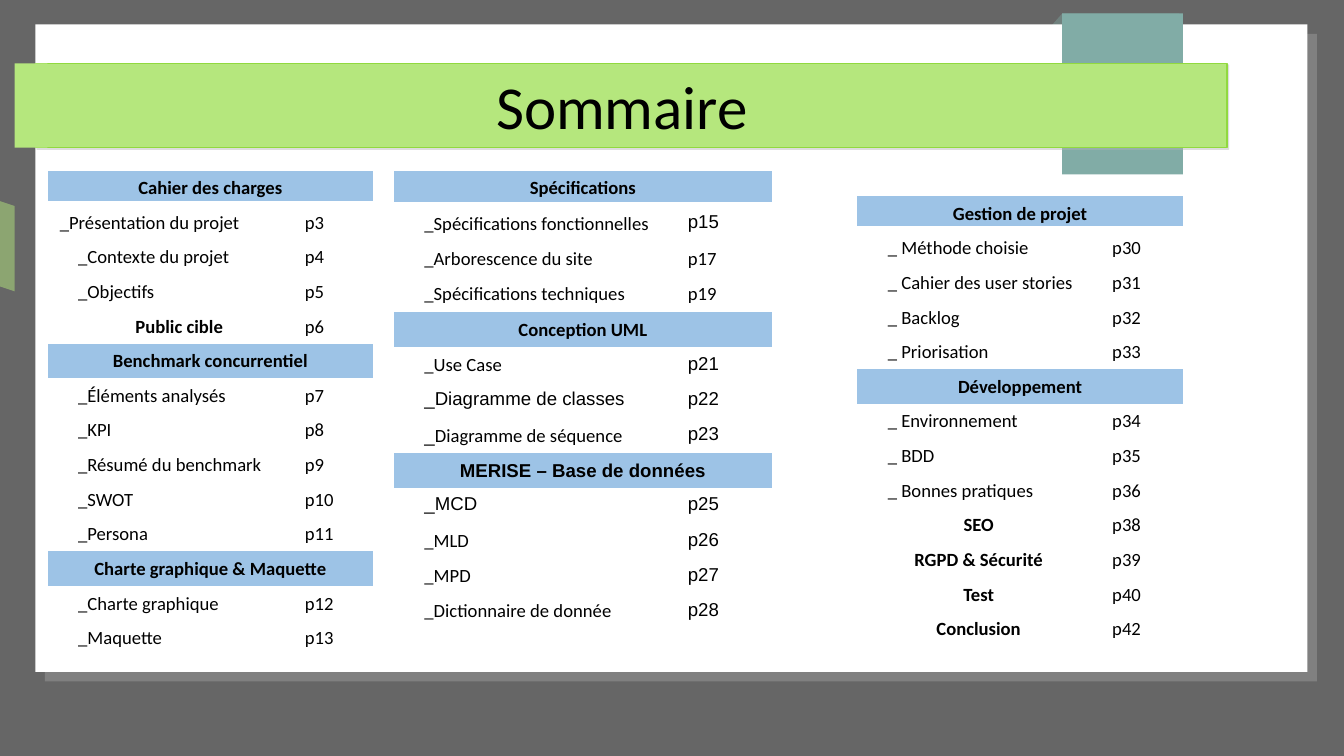
from lxml.etree import SubElement
from pptx import Presentation
from pptx.dml.color import RGBColor
from pptx.enum.shapes import MSO_SHAPE
from pptx.enum.text import MSO_ANCHOR, PP_ALIGN
from pptx.oxml import parse_xml
from pptx.oxml.ns import nsdecls, qn
from pptx.util import Inches, Pt

HEX = {"back": "666666", "page": "FFFFFF", "green": "B5E77D", "edge": "91D93F",
       "teal": "81ACA6", "blue": "9DC3E6", "text": "000000",
       "shade": "808080", "haze": "B2B2B2"}
PLAIN = "{2D5ABB26-0587-4C30-8999-92F81FD0307C}"

# One item is a heading; two are a label and its page; a third is the indent.
# A label without "_" is bold and centred, and "|" splits it into runs.
LEFT = [
    ("Cahier des charges",),
    ("_Présentation du projet", "p3", 0),
    ("_Contexte du projet", "p4"),
    ("_Objectifs", "p5"),
    ("Public cible", "p6", 0.15),
    ("Benchmark concurrentiel",),
    ("_Éléments analysés", "p7"),
    ("_KPI", "p8"),
    ("_Résumé du benchmark", "p9"),
    ("_SWOT", "p10"),
    ("_Persona", "p11"),
    ("Charte graphique & Maquette",),
    ("_Charte graphique", "p12"),
    ("_Maquette", "p13"),
]
MIDDLE = [
    ("Spécifications",),
    ("_Spécifications fonctionnelles", "p15"),
    ("_Arborescence du site", "p17"),
    ("_Spécifications techniques", "p19"),
    ("Conception UML",),
    ("_Use Case", "p21"),
    ("_Diagramme de classes", "p22"),
    ("_|Diagramme de séquence", "p23"),
    ("MERISE – Base de données",),
    ("_MCD", "p25"),
    ("_MLD", "p26"),
    ("_MPD", "p27"),
    ("_Dictionnaire de donnée", "p28"),
]
RIGHT = [
    ("Gestion de projet",),
    ("_ Méthode choisie", "p30"),
    ("_ Cahier des user stories", "p31"),
    ("_ Backlog", "p32"),
    ("_ Priorisation", "p33"),
    ("Développement",),
    ("_ Environnement", "p34"),
    ("_ BDD", "p35"),
    ("_ Bonnes pratiques", "p36"),
    ("SEO", "p38"),
    ("RGPD & Sécurité", "p39"),
    ("Test", "p40"),
    ("Conclusion", "p42"),
]
ARIAL = {"_", "_Diagramme de classes", "_MCD", "MERISE – Base de données",
         "p15", "p21", "p22", "p23", "p25", "p26", "p27", "p28"}


def color(name):
    return RGBColor.from_string(HEX[name])


def paint(shape, fill, line=None):
    shape.shadow.inherit = False
    shape.fill.solid()
    shape.fill.fore_color.rgb = color(fill)
    if line:
        shape.line.color.rgb = color(line)
        shape.line.width = Pt(0.85)
    else:
        shape.line.fill.background()


def block(slide, left, top, width, height, fill, line=None):
    shape = slide.shapes.add_shape(MSO_SHAPE.RECTANGLE, Inches(left), Inches(top),
                                   Inches(width), Inches(height))
    paint(shape, fill, line)
    return shape


def fold(slide, points, fill, alpha):
    """Draw a see-through ribbon end."""
    spots = [(Inches(x), Inches(y)) for x, y in points]
    pen = slide.shapes.build_freeform(*spots[0])
    pen.add_line_segments(spots[1:])
    shape = pen.convert_to_shape()
    paint(shape, fill)
    tint = shape.fill._xPr.find(qn("a:solidFill"))[0]
    SubElement(tint, qn("a:alpha"), val=str(alpha * 1000))


def shade(shape, name, alpha, dist):
    """Cast a sharp shadow down and to the right."""
    effect = shape._element.spPr.find(qn("a:effectLst"))
    drop = SubElement(effect, qn("a:outerShdw"), dist=str(Pt(dist)),
                      dir="2700000", algn="tl", rotWithShape="0")
    tint = SubElement(drop, qn("a:srgbClr"), val=HEX[name])
    SubElement(tint, qn("a:alpha"), val=str(alpha * 1000))


def write(frame, text, size, bold=False, center=False):
    para = frame.paragraphs[0]
    para.alignment = PP_ALIGN.CENTER if center else PP_ALIGN.LEFT
    for part in text.split("|"):
        run = para.add_run()
        run.text = part
        run.font.name = "Arial" if part in ARIAL else "Calibri"
        run.font.size = Pt(size)
        run.font.bold = bold
        run.font.color.rgb = color("text")


def rule(cell):
    """Draw a thick white line under a cell."""
    cell._tc.get_or_add_tcPr().insert(0, parse_xml(
        f'<a:lnB {nsdecls("a")} w="{Pt(6)}"><a:solidFill>'
        f'<a:srgbClr val="{HEX["page"]}"/></a:solidFill></a:lnB>'))


def index(slide, left, top, widths, step, rows):
    """Add one column of the contents as a table."""
    frame = slide.shapes.add_table(len(rows), 2, Inches(left), Inches(top),
                                   Inches(sum(widths)), Inches(step * len(rows)))
    table = frame.table
    table.first_row = table.horz_banding = False
    table._tbl.tblPr.find(qn("a:tableStyleId")).text = PLAIN
    for col, width in zip(table.columns, widths):
        col.width = Inches(width)
    for num, (label, *rest) in enumerate(rows):
        table.rows[num].height = Inches(0.27 if label in ARIAL and not rest else step)
        name, page = table.cell(num, 0), table.cell(num, 1)
        for cell in (name, page):
            cell.fill.solid()
            cell.fill.fore_color.rgb = color("page" if rest else "blue")
            if num == 0:
                rule(cell)
        entry = label.startswith("_")
        write(name.text_frame, label, 11, bold=not entry, center=not entry)
        if rest:
            indent = rest[1] if len(rest) > 1 else 0.15 * entry
            name.margin_left = Inches(0.1 + indent)
            write(page.text_frame, rest[0], 11)
        else:
            name.merge(page)
            name.vertical_anchor = MSO_ANCHOR.MIDDLE


def frame(slide):
    """Draw the white page with its ribbons."""
    fold(slide, [(0, 1.65), (0.12, 1.69), (0.12, 2.39), (0, 2.35)], "green", 49)
    fold(slide, [(8.71, 0.11), (9.67, 0.11), (9.31, 0.52), (8.35, 0.52)], "teal", 39)
    shade(block(slide, 0.29, 0.2, 10.43, 5.31, "page"), "shade", 100, 8)
    block(slide, 8.71, 0.18, 0.99, 1.25, "teal")
    shade(block(slide, 0.29, 0.52, 9.77, 0.69, "green", "edge"), "haze", 43, 1.4)
    block(slide, 0.12, 0.52, 0.27, 0.69, "green")
    block(slide, 8.71, 0.11, 0.99, 0.09, "teal")


def title(slide, text):
    box = slide.shapes.add_textbox(Inches(0.12), Inches(0.51), Inches(9.96), Inches(0.71))
    box.text_frame.word_wrap = True
    write(box.text_frame, text, 36, center=True)


def main():
    deck = Presentation()
    deck.slide_width, deck.slide_height = Inches(11.02), Inches(6.2)
    slide = deck.slides.add_slide(deck.slide_layouts[6])
    slide.background.fill.solid()
    slide.background.fill.fore_color.rgb = color("back")
    frame(slide)
    title(slide, "Sommaire")
    index(slide, 0.39, 1.4, (2.01, 0.66), 0.28, LEFT)
    index(slide, 3.23, 1.4, (2.31, 0.79), 0.29, MIDDLE)
    index(slide, 7.03, 1.61, (1.99, 0.68), 0.28, RIGHT)
    deck.save("out.pptx")


if __name__ == "__main__":
    main()
